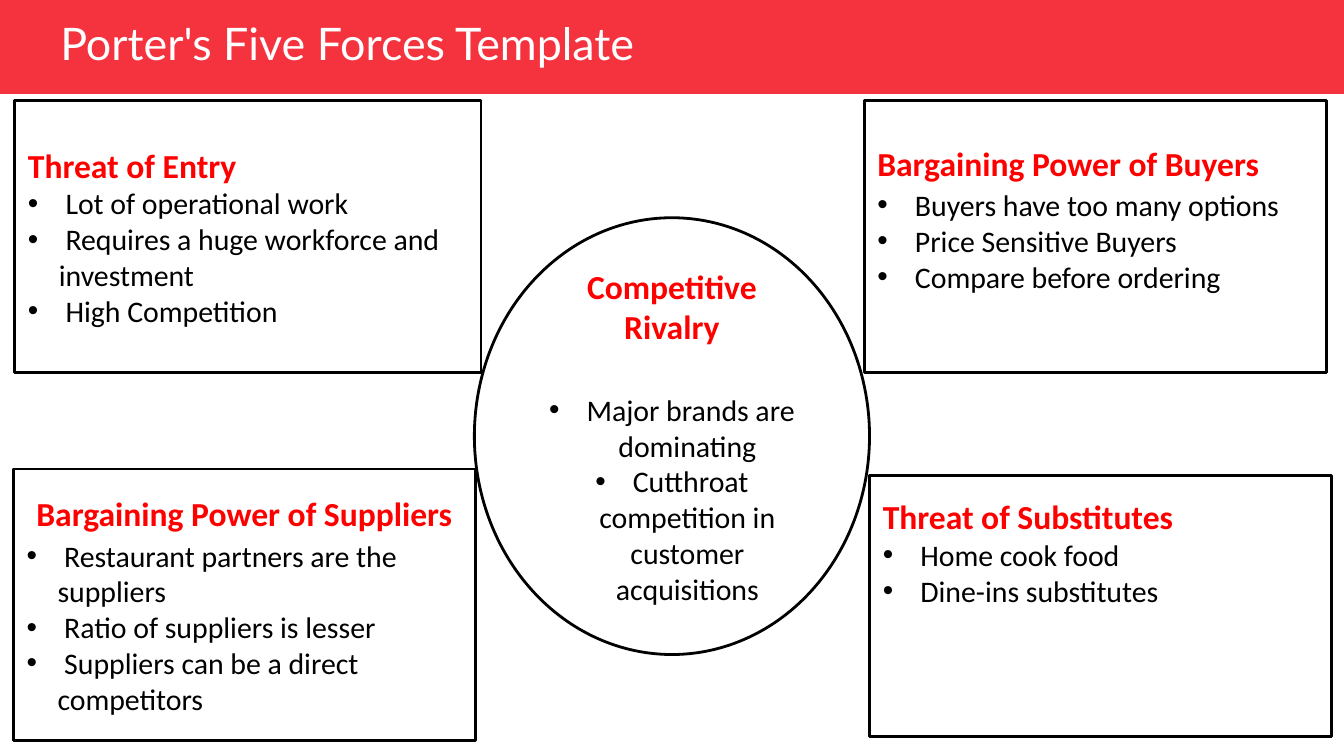
from lxml import etree
from pptx import Presentation
from pptx.dml.color import RGBColor
from pptx.enum.shapes import MSO_SHAPE
from pptx.enum.text import MSO_ANCHOR, PP_ALIGN
from pptx.oxml.ns import qn
from pptx.util import Inches, Pt

RECTANGLE = MSO_SHAPE.RECTANGLE
OVAL = MSO_SHAPE.OVAL
MIDDLE = MSO_ANCHOR.MIDDLE
LEFT = PP_ALIGN.LEFT
CENTER = PP_ALIGN.CENTER
INSET = 0.1
HANG = Inches(0.23)


def color(hex_code):
    return RGBColor.from_string(hex_code)


def add_bullet(paragraph):
    properties = paragraph._p.get_or_add_pPr()
    properties.set("marL", str(HANG))
    properties.set("indent", str(-HANG))
    bullet_color = etree.SubElement(properties, qn("a:buClr"))
    etree.SubElement(bullet_color, qn("a:srgbClr"), val="000000")
    etree.SubElement(properties, qn("a:buFont"), typeface="Arial")
    etree.SubElement(properties, qn("a:buChar"), char="•")


prs = Presentation()
prs.slide_width = Inches(10)
prs.slide_height = Inches(10) * 9 // 16
slide = prs.slides.add_slide(prs.slide_layouts[6])

banner = slide.shapes.add_shape(RECTANGLE, 0, 0, prs.slide_width, Inches(0.7))
banner.shadow.inherit = False
banner.fill.solid()
banner.fill.fore_color.rgb = color("F5333F")
banner.line.fill.background()

title = slide.shapes.add_textbox(Inches(0.35), Inches(0.13), Inches(4.71), Inches(0.42))
title_frame = title.text_frame
title_frame.word_wrap = True
title_frame.vertical_anchor = MIDDLE
title_frame.text = "Porter's Five Forces Template"
title_line = title_frame.paragraphs[0]
title_line.line_spacing = 0.9
title_font = title_line.runs[0].font
title_font.name = "Lato"
title_font.size = Pt(24)
title_font.color.rgb = color("FFFFFF")

forces = [
    ("Bargaining Power of Suppliers", RECTANGLE, (0.1, 3.49, 3.44, 2.02), CENTER, LEFT, 2, INSET,
     ["Restaurant partners are the suppliers", "Ratio of suppliers is lesser",
      "Suppliers can be a direct competitors"]),
    ("Competitive Rivalry", OVAL, (3.53, 1.62, 2.94, 3.25), CENTER, CENTER, 24, INSET,
     ["Major brands are dominating", "Cutthroat competition in customer acquisitions"]),
    ("Threat of Entry", RECTANGLE, (0.11, 0.75, 3.47, 2.02), LEFT, LEFT, 0, INSET,
     ["Lot of operational work", "Requires a huge workforce and investment", "High Competition"]),
    ("Threat of Substitutes", RECTANGLE, (6.47, 3.54, 3.44, 1.94), LEFT, LEFT, 0, 0.9,
     ["Home cook food", "Dine-ins substitutes"]),
    ("Bargaining Power of Buyers", RECTANGLE, (6.43, 0.75, 3.44, 2.02), LEFT, LEFT, 2, 0.37,
     ["Buyers have too many options", "Price Sensitive Buyers", "Compare before ordering"]),
]

for heading, outline, bounds, heading_align, point_align, gap, bottom_inset, points in forces:
    force = slide.shapes.add_shape(outline, *[Inches(length) for length in bounds])
    force.shadow.inherit = False
    force.fill.background()
    force.line.color.rgb = color("000000")
    force.line.width = Pt(1.5)

    frame = force.text_frame
    frame.word_wrap = True
    frame.vertical_anchor = MIDDLE
    frame.margin_left = frame.margin_right = frame.margin_top = Inches(INSET)
    frame.margin_bottom = Inches(bottom_inset)
    frame.text = "\n ".join([heading] + points)

    for index, paragraph in enumerate(frame.paragraphs):
        is_heading = index == 0
        if is_heading:
            paragraph.space_after = Pt(gap)
        else:
            add_bullet(paragraph)
        paragraph.alignment = heading_align if is_heading else point_align
        font = paragraph.runs[0].font
        font.name = "Calibri"
        font.size = Pt(18 if is_heading else 16)
        font.bold = is_heading
        font.color.rgb = color("FF0000" if is_heading else "000000")

prs.save("out.pptx")
